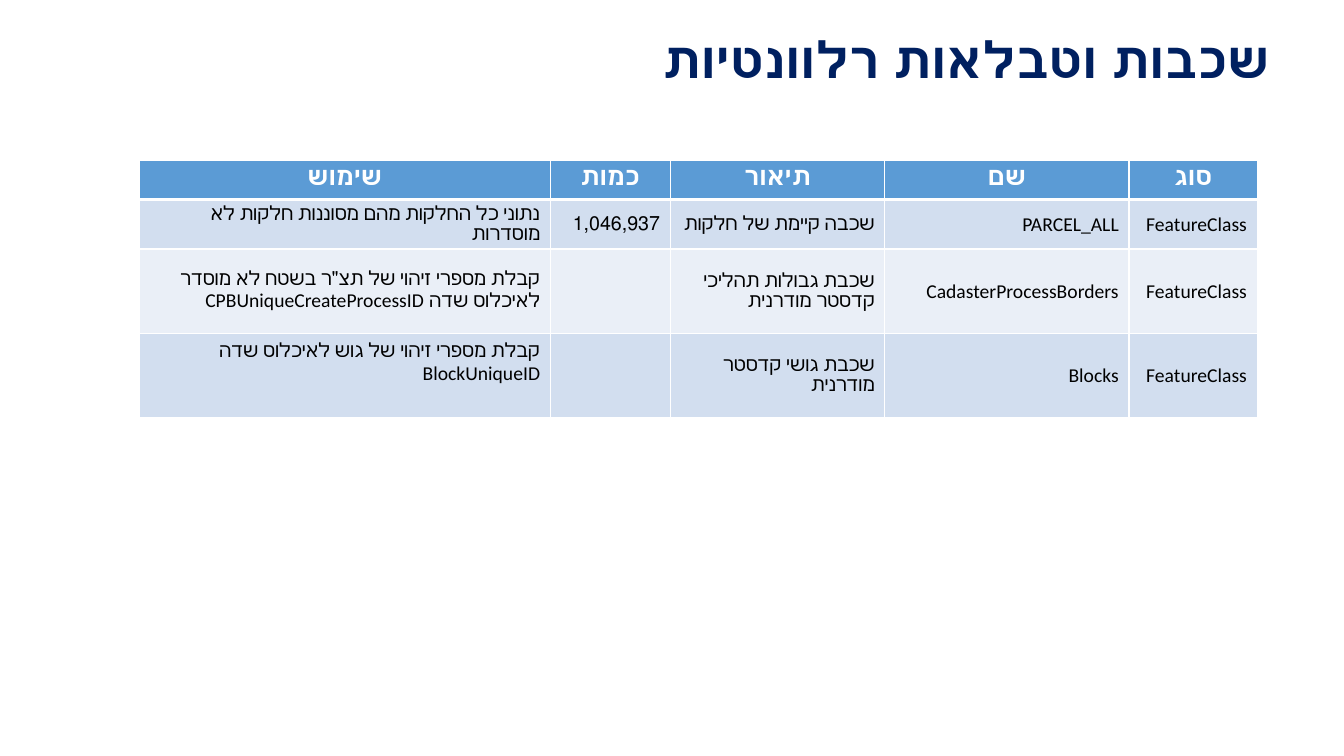
from pptx import Presentation
from pptx.dml.color import RGBColor
from pptx.enum.text import MSO_ANCHOR, PP_ALIGN
from pptx.oxml import parse_xml
from pptx.oxml.ns import nsdecls
from pptx.util import Cm, Pt


def color(value):
    return RGBColor.from_string(value)


def style(para, size, shade, bold, alignment, rtl):
    para.alignment = alignment
    para.font.name = "Calibri"
    para.font.size = Pt(size)
    para.font.bold = bold
    para.font.color.rgb = color(shade)
    if rtl:
        para._p.get_or_add_pPr().set("rtl", "1")


deck = Presentation()
deck.slide_width, deck.slide_height = Cm(33.87), Cm(19.05)
page = deck.slides.add_slide(deck.slide_layouts[5])

title = page.shapes.title
title.left, title.top, title.width, title.height = Cm(1.57), Cm(0.69), Cm(30.68), Cm(1.73)
title.text_frame.text = "שכבות וטבלאות רלוונטיות"
title.text_frame.vertical_anchor = MSO_ANCHOR.MIDDLE
heading = title.text_frame.paragraphs[0]
heading.line_spacing = 0.9
style(heading, 36, "002060", True, PP_ALIGN.RIGHT, True)

rows = [
    ["שימוש", "כמות", "תיאור", "שם", "סוג"],
    ["נתוני כל החלקות מהם מסוננות חלקות לא מוסדרות", "1,046,937",
     "שכבה קיימת של חלקות", "PARCEL_ALL", "FeatureClass"],
    ["קבלת מספרי זיהוי של תצ\"ר בשטח לא מוסדר לאיכלוס שדה CPBUniqueCreateProcessID", "",
     "שכבת גבולות תהליכי קדסטר מודרנית", "CadasterProcessBorders", "FeatureClass"],
    ["קבלת מספרי זיהוי של גוש לאיכלוס שדה BlockUniqueID", "",
     "שכבת גושי קדסטר מודרנית", "Blocks", "FeatureClass"],
]
widths = [10.36, 3.02, 5.41, 6.15, 3.23]
heights = [0.99, 0.84, 2.13, 2.13]
fills = ["5B9BD5", "D2DEEF", "EAEFF7", "D2DEEF"]

table = page.shapes.add_table(len(rows), len(widths), Cm(3.51), Cm(4.04),
                              Cm(sum(widths)), Cm(sum(heights))).table
for column, width in zip(table.columns, widths):
    column.width = Cm(width)
for row, height in zip(table.rows, heights):
    row.height = Cm(height)

for row_index, texts in enumerate(rows):
    header = row_index == 0
    for column_index, text in enumerate(texts):
        cell = table.cell(row_index, column_index)
        cell.fill.solid()
        cell.fill.fore_color.rgb = color(fills[row_index])
        borders = {"lnL": 1, "lnR": 1, "lnT": 3 if row_index == 1 else 1, "lnB": 3 if header else 1}
        for position, (side, points) in enumerate(borders.items()):
            line = parse_xml(
                f'<a:{side} {nsdecls("a")} w="{Pt(points)}"><a:solidFill>'
                f'<a:srgbClr val="FFFFFF"/></a:solidFill></a:{side}>')
            cell._tc.get_or_add_tcPr().insert(position, line)
        cell.text = text
        para = cell.text_frame.paragraphs[0]
        if header:
            style(para, 18, "FFFFFF", True, PP_ALIGN.CENTER, False)
        else:
            cell.vertical_anchor = MSO_ANCHOR.MIDDLE
            style(para, 14, "000000", False, PP_ALIGN.RIGHT, column_index < 4)

table.cell(3, 0).margin_bottom = Cm(0.75)

deck.save("out.pptx")
